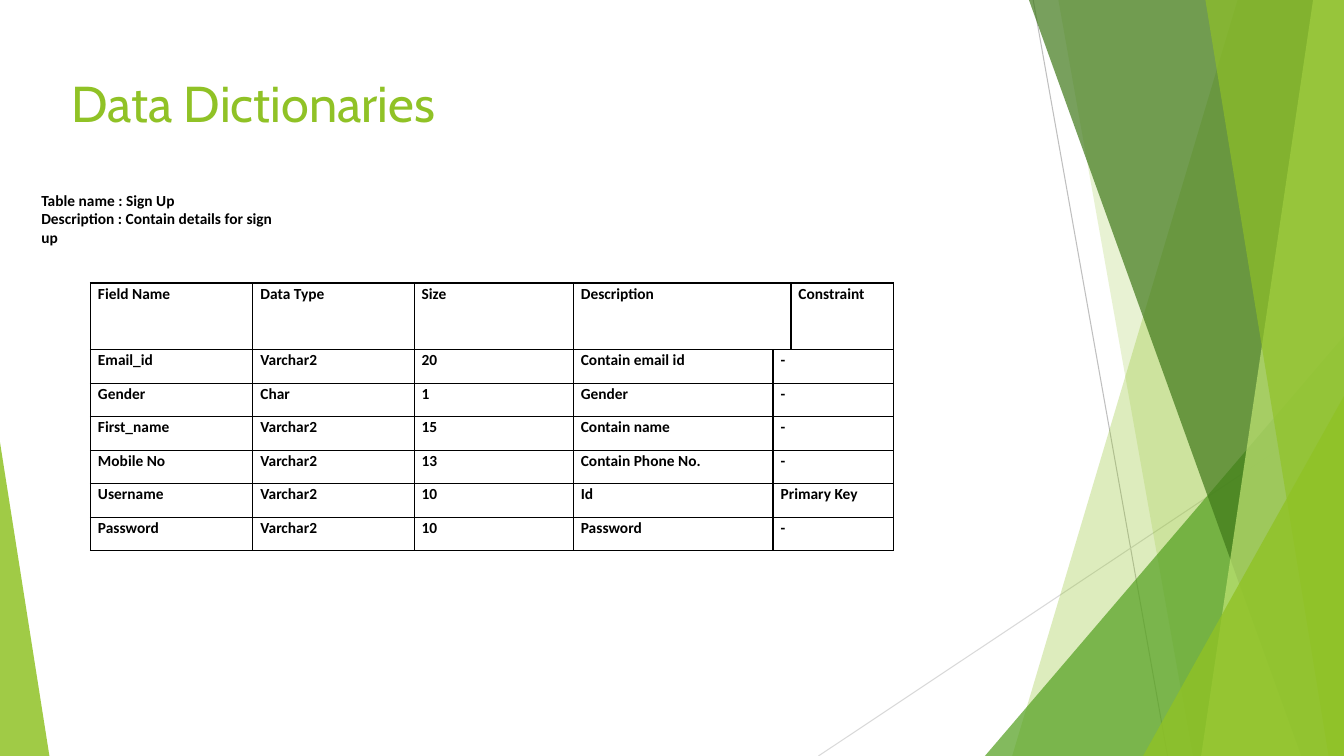
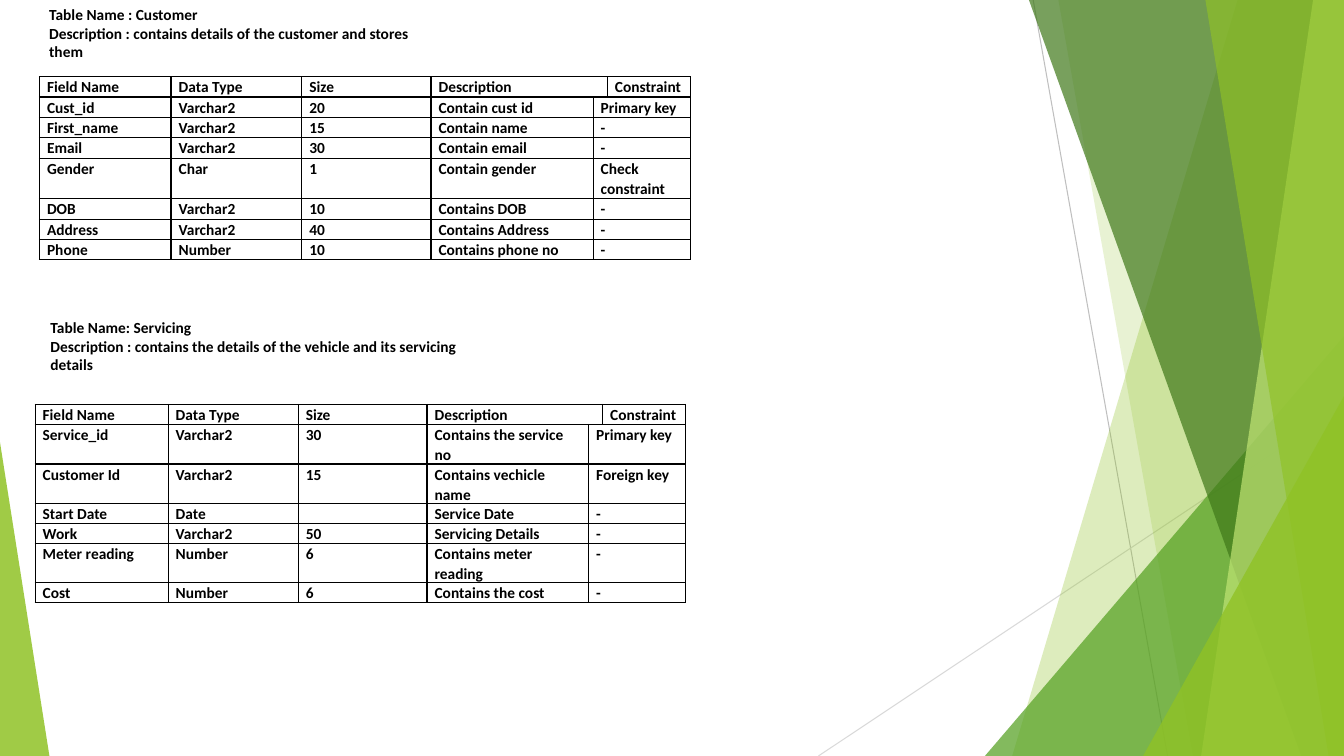
from lxml.etree import SubElement
from pptx import Presentation
from pptx.dml.color import RGBColor
from pptx.enum.shapes import MSO_CONNECTOR as CONN, MSO_SHAPE as SHAPE
from pptx.enum.text import MSO_ANCHOR as ANCHOR
from pptx.oxml.ns import qn
from pptx.util import Pt

WIDTH, HEIGHT = 960, 540
PAGE = (0, 0, WIDTH, HEIGHT)
GREEN, LEAF, FOREST, LIME = "90C226", "54A021", "3F7819", "C0E474"
BLACK = "000000"
TITLE_FONT, BODY_FONT = "Cabin", "Calibri"
BODY_SIZE = 11
CELL_MARGIN = 5.4

HEADER = ["Field Name", "Data Type", "Size", "Description", "Constraint"]
SIGN_UP = [
    HEADER,
    ["Email_id", "Varchar2", "20", "Contain email id", "-"],
    ["Gender", "Char", "1", "Gender", "-"],
    ["First_name", "Varchar2", "15", "Contain name", "-"],
    ["Mobile No", "Varchar2", "13", "Contain Phone No.", "-"],
    ["Username", "Varchar2", "10", "Id", "Primary Key"],
    ["Password", "Varchar2", "10", "Password", "-"],
]
CUSTOMER = [
    HEADER,
    ["Cust_id", "Varchar2", "20", "Contain cust id", "Primary key"],
    ["First_name", "Varchar2", "15", "Contain name", "-"],
    ["Email", "Varchar2", "30", "Contain email", "-"],
    ["Gender", "Char", "1", "Contain gender", "Check constraint"],
    ["DOB", "Varchar2", "10", "Contains DOB", "-"],
    ["Address", "Varchar2", "40", "Contains Address", "-"],
    ["Phone", "Number", "10", "Contains phone no", "-"],
]
SERVICING = [
    HEADER,
    ["Service_id", "Varchar2", "30", "Contains the service no", "Primary key"],
    ["Customer Id", "Varchar2", "15", "Contains vechicle name", "Foreign key"],
    ["Start Date", "Date", "", "Service Date", "-"],
    ["Work", "Varchar2", "50", "Servicing Details", "-"],
    ["Meter reading", "Number", "6", "Contains meter reading", "-"],
    ["Cost", "Number", "6", "Contains the cost", "-"],
]


def rgb(value):
    return RGBColor.from_string(value)


def set_font(p, name, size, color, bold=False):
    p.font.name, p.font.size, p.font.bold = name, Pt(size), bold
    p.font.color.rgb = rgb(color)


def paint(sp, color, opacity):
    sp.shadow.inherit = False
    sp.line.fill.background()
    sp.fill.solid()
    sp.fill.fore_color.rgb = rgb(color)
    clr = sp._element.spPr.find(".//" + qn("a:srgbClr"))
    SubElement(clr, qn("a:alpha"), val=str(opacity * 1000))


def add_ray(shapes, start, end, color):
    ray = shapes.add_connector(CONN.STRAIGHT, *map(Pt, start + end))
    ray.line.color.rgb = rgb(color)
    ray.line.width = Pt(0.75)
    SubElement(ray._element.spPr, qn("a:effectLst"))


def add_band(shapes, box, top_x, bottom_x, color, opacity):
    left, top, width, height = box
    right, bottom = left + width, top + height
    builder = shapes.build_freeform(Pt(left + top_x), Pt(top))
    corners = [(right, top), (right, bottom), (left + bottom_x, bottom)]
    builder.add_line_segments([(Pt(x), Pt(y)) for x, y in corners])
    paint(builder.convert_to_shape(), color, opacity)


def add_wedge(shapes, box, x, y, width, peak, color, opacity):
    left, top, _, height = box
    sp = shapes.add_shape(SHAPE.ISOSCELES_TRIANGLE, Pt(left + x), Pt(top + y),
                          Pt(width), Pt(height - y))
    sp.adjustments[0] = peak
    paint(sp, color, opacity)


def add_backdrop(slide, box):
    left, top, width, height = box
    right, bottom = left + width, top + height
    shapes = slide.shapes.add_group_shape().shapes
    add_ray(shapes, (left + 738, top), (left + 834, bottom), "BFBFBF")
    add_ray(shapes, (right, top + 290), (left + 584.6, bottom), "D9D9D9")
    add_band(shapes, box, 884, 723, GREEN, 30)
    add_band(shapes, box, 756, 852, GREEN, 20)
    add_wedge(shapes, box, 703.5, 240, width - 703.5, 1, LEAF, 72)
    add_band(shapes, box, 735, 929.5, FOREST, 70)
    add_band(shapes, box, 938, 858, LIME, 70)
    add_band(shapes, box, 861, 949, GREEN, 65)
    add_wedge(shapes, box, 816.5, 283, width - 816.5, 1, GREEN, 80)
    add_wedge(shapes, box, 0, 316, 35.3, 0, GREEN, 85)


def add_text(slide, box, lines, name, size, color, bold=False, anchor=ANCHOR.TOP):
    tf = slide.shapes.add_textbox(*map(Pt, box)).text_frame
    tf.word_wrap = True
    tf.vertical_anchor = anchor
    tf.text = "\n".join(lines)
    for p in tf.paragraphs:
        set_font(p, name, size, color, bold)


def add_title(slide, box, text):
    add_text(slide, box, [text], TITLE_FONT, 36, GREEN)


def add_caption(slide, box, *lines):
    add_text(slide, box, lines, BODY_FONT, BODY_SIZE, BLACK, True, ANCHOR.MIDDLE)


def style_cell(cell):
    cell.margin_left = cell.margin_right = Pt(CELL_MARGIN)
    cell.margin_top = cell.margin_bottom = 0
    tc_pr = cell._tc.get_or_add_tcPr()
    for side in ("lnL", "lnR", "lnT", "lnB"):
        ln = SubElement(tc_pr, qn("a:" + side), w=str(Pt(1)))
        SubElement(SubElement(ln, qn("a:solidFill")), qn("a:srgbClr"), val=BLACK)
    cell.fill.background()


def fill_cell(cell, text):
    cell.text = text
    p = cell.text_frame.paragraphs[0]
    p.line_spacing = 1.07
    set_font(p, BODY_FONT, BODY_SIZE, BLACK, True)
    if not text:
        SubElement(p._p, qn("a:endParaRPr"), sz=str(BODY_SIZE * 100))


def add_dictionary(slide, left, top, widths, rows, row_height, header_height):
    height = header_height + row_height * (len(rows) - 1)
    table = slide.shapes.add_table(len(rows), len(widths), Pt(left), Pt(top),
                                   Pt(sum(widths)), Pt(height)).table
    table.first_row = table.horz_banding = False
    for column, width in zip(table.columns, widths):
        column.width = Pt(width)
    for i, texts in enumerate(rows):
        table.rows[i].height = Pt(row_height if i else header_height)
        for j in range(len(widths)):
            style_cell(table.cell(i, j))
        wide = 4 if i else 3
        table.cell(i, wide).merge(table.cell(i, wide + 1))
        for j, text in zip((0, 1, 2, 3, 4 if i else 5), texts):
            fill_cell(table.cell(i, j), text)


def add_page(prs):
    slide = prs.slides.add_slide(prs.slide_layouts[6])
    add_backdrop(slide, PAGE)
    return slide


def build_sign_up(prs):
    slide = add_page(prs)
    add_title(slide, (44, 48, 677, 104), "Data Dictionaries")
    add_dictionary(slide, 64.6, 202.2, [116, 115.2, 113.7, 142.7, 12.8, 73.2],
                   SIGN_UP, 23.9, 47.7)
    add_caption(slide, (22.4, 132.5, 189.5, 47.5), "Table name : Sign Up",
                "Description : Contain details for sign up")


def build_customer_and_servicing(prs):
    slide = add_page(prs)
    add_dictionary(slide, 28.2, 54.8, [94, 93.4, 92.3, 115.8, 10.2, 59.3],
                   CUSTOMER, 14, 14)
    add_caption(slide, (28, 0, 290, 47.5), "Table Name : Customer",
                "Description : contains details of the customer and stores them")
    add_dictionary(slide, 25.1, 289, [95, 93, 92, 115.4, 10, 59.4],
                   SERVICING, 14, 14)
    add_caption(slide, (29, 223.5, 332, 47.5), "Table Name: Servicing",
                "Description : contains the details of the vehicle and its servicing details")


def main():
    prs = Presentation()
    prs.slide_width, prs.slide_height = Pt(WIDTH), Pt(HEIGHT)
    build_sign_up(prs)
    build_customer_and_servicing(prs)
    prs.save("out.pptx")


if __name__ == "__main__":
    main()
